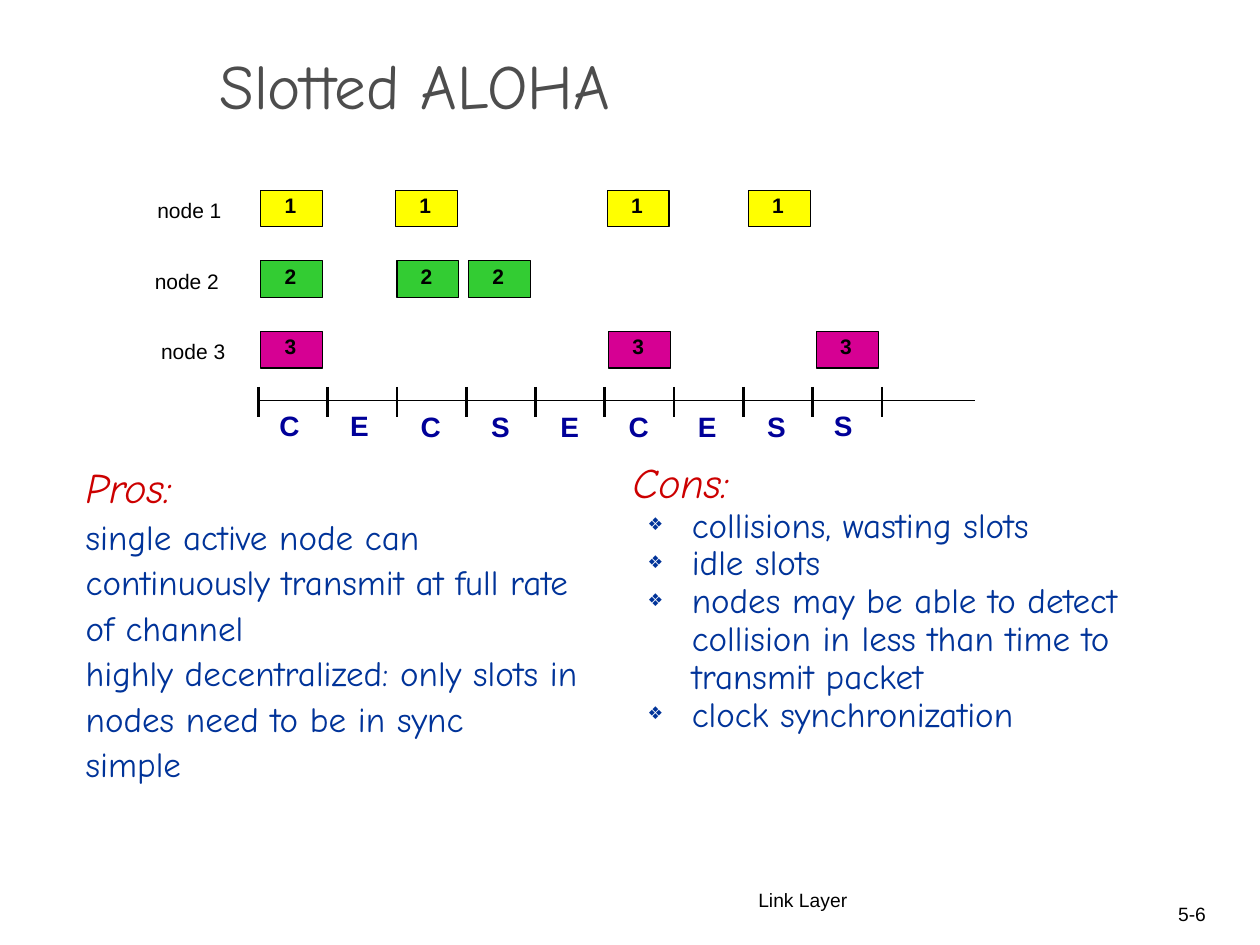
from lxml import etree
from pptx import Presentation
from pptx.dml.color import RGBColor
from pptx.enum.shapes import MSO_CONNECTOR, MSO_SHAPE
from pptx.enum.text import MSO_ANCHOR, MSO_AUTO_SIZE, PP_ALIGN
from pptx.oxml.ns import qn
from pptx.util import Inches, Pt

STRAIGHT = MSO_CONNECTOR.STRAIGHT
RECTANGLE = MSO_SHAPE.RECTANGLE
TOP, MIDDLE = MSO_ANCHOR.TOP, MSO_ANCHOR.MIDDLE
LEFT, CENTER, RIGHT = PP_ALIGN.LEFT, PP_ALIGN.CENTER, PP_ALIGN.RIGHT
FIXED, GROW = MSO_AUTO_SIZE.NONE, MSO_AUTO_SIZE.SHAPE_TO_FIT_TEXT

COLORS = {
    "black": "000000",
    "title": "4D4D4D",
    "heading": "CC0000",
    "body": "003399",
    "outcome": "000099",
    "node 1": "FFFF00",
    "node 2": "33CC33",
    "node 3": "D60093",
}

NODES = [
    ("node 1", 1.15, 1.51, [2.07, 3.14, 4.82, 5.94]),
    ("node 2", 1.13, 2.07, [2.07, 3.15, 3.72]),
    ("node 3", 1.18, 2.63, [2.07, 4.83, 6.48]),
]
OUTCOMES = [
    ("C", 2.12, 3.19), ("E", 2.68, 3.19), ("C", 3.24, 3.2),
    ("S", 3.8, 3.2), ("E", 4.35, 3.2), ("C", 4.89, 3.2),
    ("E", 5.44, 3.2), ("S", 5.99, 3.2), ("S", 6.52, 3.19),
]
AXIS_START, AXIS_END, AXIS_TOP = 2.05, 7.74, 3.18
SLOT_WIDTH, SLOT_COUNT = 0.55, 9

PROS = [
    "single active node can continuously transmit at full rate of channel",
    "highly decentralized: only slots in nodes need to be in sync",
    "simple",
]
CONS = [
    "collisions, wasting slots",
    "idle slots",
    "nodes may be able to detect collision in less than time to transmit packet",
    "clock synchronization",
]


def write(paragraph, text, font="Arial", size=12, color="black", bold=False,
          italic=False, align=LEFT, spacing=None):
    paragraph.alignment = align
    if spacing:
        paragraph.line_spacing = spacing
        paragraph.space_before = Pt(0)
    run = paragraph.add_run()
    run.text = text
    run.font.name = font
    run.font.size = Pt(size)
    run.font.bold = bold
    run.font.italic = italic
    run.font.color.rgb = RGBColor.from_string(COLORS[color])


class SlideBuilder:
    display_font = "Comic Neue"

    def __init__(self, slide):
        self.slide = slide

    def place(self, shape, left, top, width, height):
        shape.left, shape.top = Inches(left), Inches(top)
        shape.width, shape.height = Inches(width), Inches(height)

    def title(self, text, *box):
        shape = self.slide.shapes.title
        self.place(shape, *box)
        frame = shape.text_frame
        frame.auto_size = FIXED
        frame.vertical_anchor = MIDDLE
        write(frame.paragraphs[0], text, font=self.display_font, size=36,
              color="title", align=CENTER, spacing=0.7)

    def body(self, index, heading, items, box, spacing, bullet=None):
        shape = self.slide.placeholders[index]
        self.place(shape, *box)
        frame = shape.text_frame
        frame.auto_size = FIXED
        write(frame.paragraphs[0], heading, font=self.display_font, size=24,
              color="heading", italic=True, spacing=spacing)
        self.bullet(frame.paragraphs[0])
        for item in items:
            paragraph = frame.add_paragraph()
            write(paragraph, item, font=self.display_font, size=20,
                  color="body", spacing=spacing)
            self.bullet(paragraph, bullet)

    def bullet(self, paragraph, character=None):
        properties = paragraph._p.get_or_add_pPr()
        properties.set("marL", str(Inches(0.47) if character else 0))
        properties.set("indent", str(Inches(-0.35) if character else 0))
        if not character:
            etree.SubElement(properties, qn("a:buNone"))
            return
        color = etree.SubElement(properties, qn("a:buClr"))
        etree.SubElement(color, qn("a:srgbClr"), val=COLORS["body"])
        etree.SubElement(properties, qn("a:buSzPct"), val="50000")
        etree.SubElement(properties, qn("a:buChar"), char=character)

    def label(self, text, left, top, width, height, wrap=False, resize=GROW,
              anchor=TOP, **style):
        shape = self.slide.shapes.add_textbox(
            Inches(left), Inches(top), Inches(width), Inches(height))
        frame = shape.text_frame
        frame.word_wrap = wrap
        frame.auto_size = resize
        frame.vertical_anchor = anchor
        write(frame.paragraphs[0], text, **style)

    def packet(self, node, left, top):
        shape = self.slide.shapes.add_shape(
            RECTANGLE, Inches(left), Inches(top), Inches(0.49), Inches(0.29))
        shape.shadow.inherit = False
        shape.fill.solid()
        shape.fill.fore_color.rgb = RGBColor.from_string(COLORS[node])
        shape.line.color.rgb = RGBColor.from_string(COLORS["black"])
        shape.line.width = Pt(0.75)
        self.label(node[-1], left + 0.09, top - 0.03, 0.29, 0.3, bold=True)

    def line(self, start_x, start_y, end_x, end_y, width):
        connector = self.slide.shapes.add_connector(
            STRAIGHT, Inches(start_x), Inches(start_y),
            Inches(end_x), Inches(end_y))
        connector.line.color.rgb = RGBColor.from_string(COLORS["black"])
        connector.line.width = Pt(width)
        etree.SubElement(connector._element.spPr, qn("a:effectLst"))


def main():
    presentation = Presentation()
    presentation.slide_width = Inches(10)
    presentation.slide_height = Inches(7.5)
    slide = presentation.slides.add_slide(presentation.slide_layouts[3])
    builder = SlideBuilder(slide)

    builder.label("Link Layer", 5.92, 7, 3.17, 0.5, wrap=True, resize=FIXED,
                  size=11)
    builder.label("5-6", 8.93, 7, 0.74, 0.5, resize=FIXED, anchor=MIDDLE,
                  size=11, align=RIGHT)
    builder.title("Slotted ALOHA", 0.58, 0.12, 5.42, 1.25)
    builder.body(1, "Pros:", PROS, (0.58, 3.65, 4.17, 3.5), Pt(26))
    builder.body(2, "Cons:", CONS, (4.92, 3.62, 4.17, 3.5), 0.9, bullet="❖")

    for node, label_left, top, packet_lefts in NODES:
        builder.label(node, label_left, top + 0.01, 0.71, 0.3)
        for left in packet_lefts:
            builder.packet(node, left, top)

    builder.line(AXIS_START, AXIS_TOP, AXIS_END, AXIS_TOP, 0.75)
    for slot in range(SLOT_COUNT + 1):
        tick = AXIS_START + slot * SLOT_WIDTH
        builder.line(tick, AXIS_TOP - 0.11, tick, AXIS_TOP + 0.13, 1.5)
    for outcome, left, top in OUTCOMES:
        builder.label(outcome, left, top, 0.36, 0.37, size=16,
                      color="outcome", bold=True)

    presentation.save("out.pptx")


if __name__ == "__main__":
    main()
